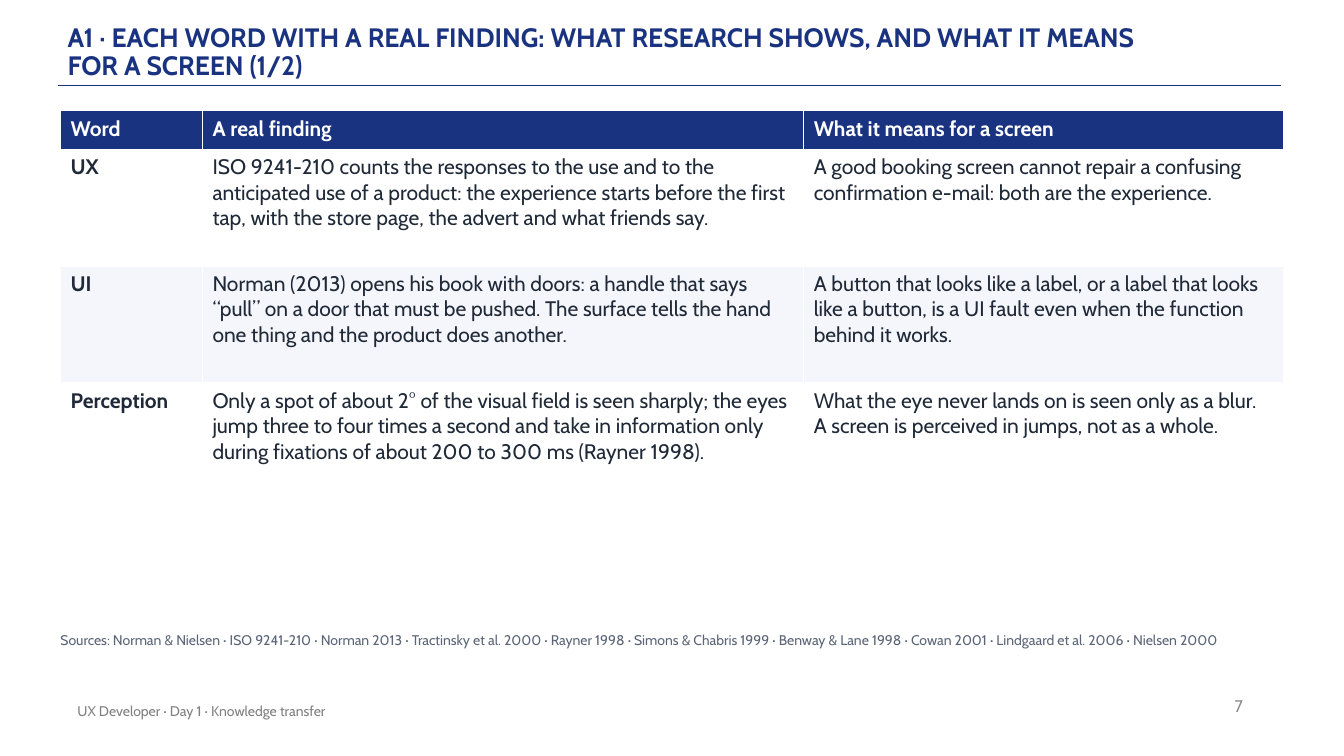
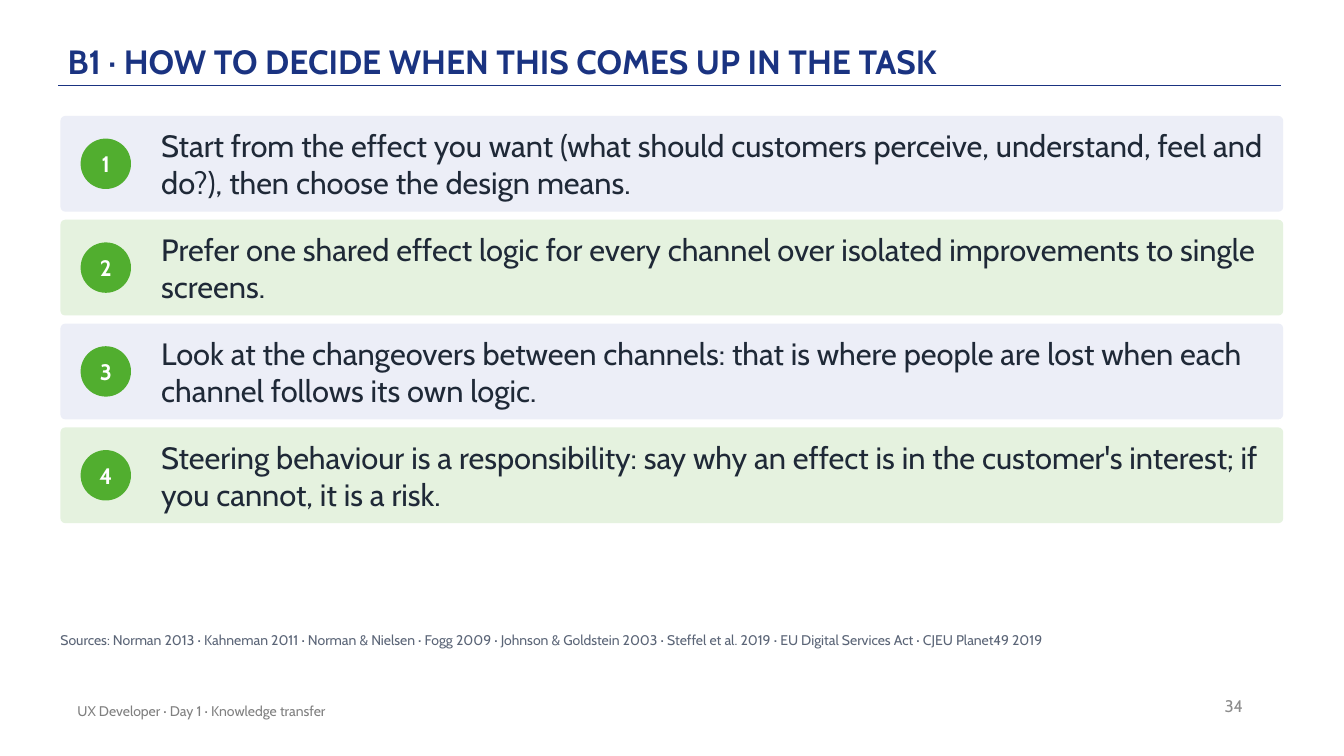
import pptx
import pptx.util
import pptx.dml.color
import pptx.enum.shapes
import pptx.enum.text
import lxml.etree

Pt = pptx.util.Pt
SHAPE = pptx.enum.shapes.MSO_SHAPE
ALIGN = pptx.enum.text.PP_ALIGN
ANCHOR = pptx.enum.text.MSO_ANCHOR

FONT = "Cabin"
COLORS = {
    "navy": "1A3381",
    "ink": "1F2937",
    "white": "FFFFFF",
    "stripe": "F4F6FB",
    "lavender": "ECEEF7",
    "mint": "E5F2DF",
    "green": "51AE2F",
    "source": "5B6577",
    "footer": "808080",
    "number": "8C8C8C",
}
FOOTER = "UX Developer · Day 1 · Knowledge transfer"

TITLE_BOX = (48.24, 8.64, 792, 51.84)
RULE = (41.8, 915.1, 61.2)
TABLE_BOX = (43.2, 79.2, 873.4, 277.9)
STEPS_BOX = (43.2, 82.8, 873.4, 290.9)
SOURCES_BOX = (43.2, 451.4, 871.2, 21.6)
FOOTER_BOX = (48.24, 493.2, 482.4, 28.8)
NUMBER_BOX = (679, 489.6, 216, 28.8)

FINDINGS = [
    ("Word", "A real finding", "What it means for a screen"),
    ("UX",
     "ISO 9241-210 counts the responses to the use and to the anticipated use of a product: "
     "the experience starts before the first tap, with the store page, the advert and what friends say.",
     "A good booking screen cannot repair a confusing confirmation e-mail: both are the experience."),
    ("UI",
     "Norman (2013) opens his book with doors: a handle that says “pull” on a door that must be pushed. "
     "The surface tells the hand one thing and the product does another.",
     "A button that looks like a label, or a label that looks like a button, is a UI fault "
     "even when the function behind it works."),
    ("Perception",
     "Only a spot of about 2° of the visual field is seen sharply; the eyes jump three to four times "
     "a second and take in information only during fixations of about 200 to 300 ms (Rayner 1998).",
     "What the eye never lands on is seen only as a blur. A screen is perceived in jumps, not as a whole."),
]

STEPS = [
    "Start from the effect you want (what should customers perceive, understand, feel and do?), "
    "then choose the design means.",
    "Prefer one shared effect logic for every channel over isolated improvements to single screens.",
    "Look at the changeovers between channels: that is where people are lost when each channel "
    "follows its own logic.",
    "Steering behaviour is a responsibility: say why an effect is in the customer's interest; "
    "if you cannot, it is a risk.",
]


def rgb(name):
    return pptx.dml.color.RGBColor.from_string(COLORS[name])


def write(tf, text, size, color, bold=False, align=ALIGN.LEFT):
    p = tf.paragraphs[0]
    p.text = text
    p.alignment = align
    p.font.name = FONT
    p.font.size = Pt(size)
    p.font.bold = bold
    p.font.color.rgb = rgb(color)
    return p


def set_frame(tf, anchor, margins):
    tf.word_wrap = True
    tf.vertical_anchor = anchor
    tf.margin_left, tf.margin_top, tf.margin_right, tf.margin_bottom = map(Pt, margins)


def add_text(s, box, text, size, color, bold=False, align=ALIGN.LEFT,
             anchor=ANCHOR.MIDDLE, margins=(0, 0, 0, 0)):
    tf = s.shapes.add_textbox(*map(Pt, box)).text_frame
    set_frame(tf, anchor, margins)
    return write(tf, text, size, color, bold, align)


def add_filled(s, kind, box, color):
    sp = s.shapes.add_shape(kind, *map(Pt, box))
    sp.shadow.inherit = False
    sp.fill.solid()
    sp.fill.fore_color.rgb = rgb(color)
    sp.line.fill.background()
    return sp


def add_rule(s, left, right, y):
    line = s.shapes.add_connector(
        pptx.enum.shapes.MSO_CONNECTOR.STRAIGHT, Pt(left), Pt(y), Pt(right), Pt(y))
    line.line.color.rgb = rgb("navy")
    line.line.width = Pt(1)
    lxml.etree.SubElement(line._element.spPr, pptx.oxml.ns.qn("a:effectLst"))


def add_base_slide(prs, title, title_size, number, sources):
    s = prs.slides.add_slide(prs.slide_layouts[6])
    add_rule(s, *RULE)
    p = add_text(s, TITLE_BOX, title, title_size, "navy", bold=True,
                 anchor=ANCHOR.BOTTOM, margins=(0, 2.16, 0, 2.16))
    p.line_spacing = 0.9
    inset = (7.2, 3.6, 7.2, 3.6)
    add_text(s, NUMBER_BOX, number, 12, "number", align=ALIGN.RIGHT, margins=inset)
    add_text(s, FOOTER_BOX, FOOTER, 10, "footer", margins=inset)
    add_text(s, SOURCES_BOX, sources, 10, "source", anchor=ANCHOR.TOP)
    return s


def add_findings_table(s, box, rows):
    left, top, width, height = box
    header_height = 27.4
    word_width, finding_width = 101.4, 429.5
    table = s.shapes.add_table(len(rows), len(rows[0]), *map(Pt, box)).table
    widths = (word_width, finding_width, width - word_width - finding_width)
    for column, column_width in zip(table.columns, widths):
        column.width = Pt(column_width)
    body_height = (height - header_height) / (len(rows) - 1)
    for i, texts in enumerate(rows):
        header = i == 0
        table.rows[i].height = Pt(header_height if header else body_height)
        fill = "navy" if header else ("white" if i % 2 else "stripe")
        for j, text in enumerate(texts):
            cell = table.cell(i, j)
            cell.fill.solid()
            cell.fill.fore_color.rgb = rgb(fill)
            write(cell.text_frame, text, 15, "white" if header else "ink", bold=header or j == 0)


def add_step(s, box, number, text, color):
    left, top, width, height = box
    badge_size, badge_left, text_left, text_right = 36, 14.4, 72, 14.4
    band = add_filled(s, SHAPE.ROUNDED_RECTANGLE, box, color)
    band.adjustments[0] = 0.05
    badge_box = (left + badge_left, top + (height - badge_size) / 2, badge_size, badge_size)
    badge = add_filled(s, SHAPE.OVAL, badge_box, "green")
    set_frame(badge.text_frame, ANCHOR.MIDDLE, (0, 0, 0, 0))
    write(badge.text_frame, str(number), 16, "white", bold=True, align=ALIGN.CENTER)
    add_text(s, (left + text_left, top, width - text_left - text_right, height), text, 22, "ink")


def add_steps(s, box, steps):
    left, top, width, height = box
    gap = 5.76
    band_height = (height - gap * (len(steps) - 1)) / len(steps)
    for i, text in enumerate(steps):
        band_box = (left, top + i * (band_height + gap), width, band_height)
        add_step(s, band_box, i + 1, text, ("lavender", "mint")[i % 2])


def main():
    prs = pptx.Presentation()
    prs.slide_width, prs.slide_height = Pt(960), Pt(540)
    s = add_base_slide(
        prs,
        "A1 · EACH WORD WITH A REAL FINDING: WHAT RESEARCH SHOWS, AND WHAT IT MEANS FOR A SCREEN (1/2)",
        19, "7",
        "Sources: Norman & Nielsen · ISO 9241-210 · Norman 2013 · Tractinsky et al. 2000 · Rayner 1998 · "
        "Simons & Chabris 1999 · Benway & Lane 1998 · Cowan 2001 · Lindgaard et al. 2006 · Nielsen 2000")
    add_findings_table(s, TABLE_BOX, FINDINGS)
    s = add_base_slide(
        prs, "B1 · HOW TO DECIDE WHEN THIS COMES UP IN THE TASK", 24, "34",
        "Sources: Norman 2013 · Kahneman 2011 · Norman & Nielsen · Fogg 2009 · Johnson & Goldstein 2003 · "
        "Steffel et al. 2019 · EU Digital Services Act · CJEU Planet49 2019")
    add_steps(s, STEPS_BOX, STEPS)
    prs.save("out.pptx")


if __name__ == "__main__":
    main()
